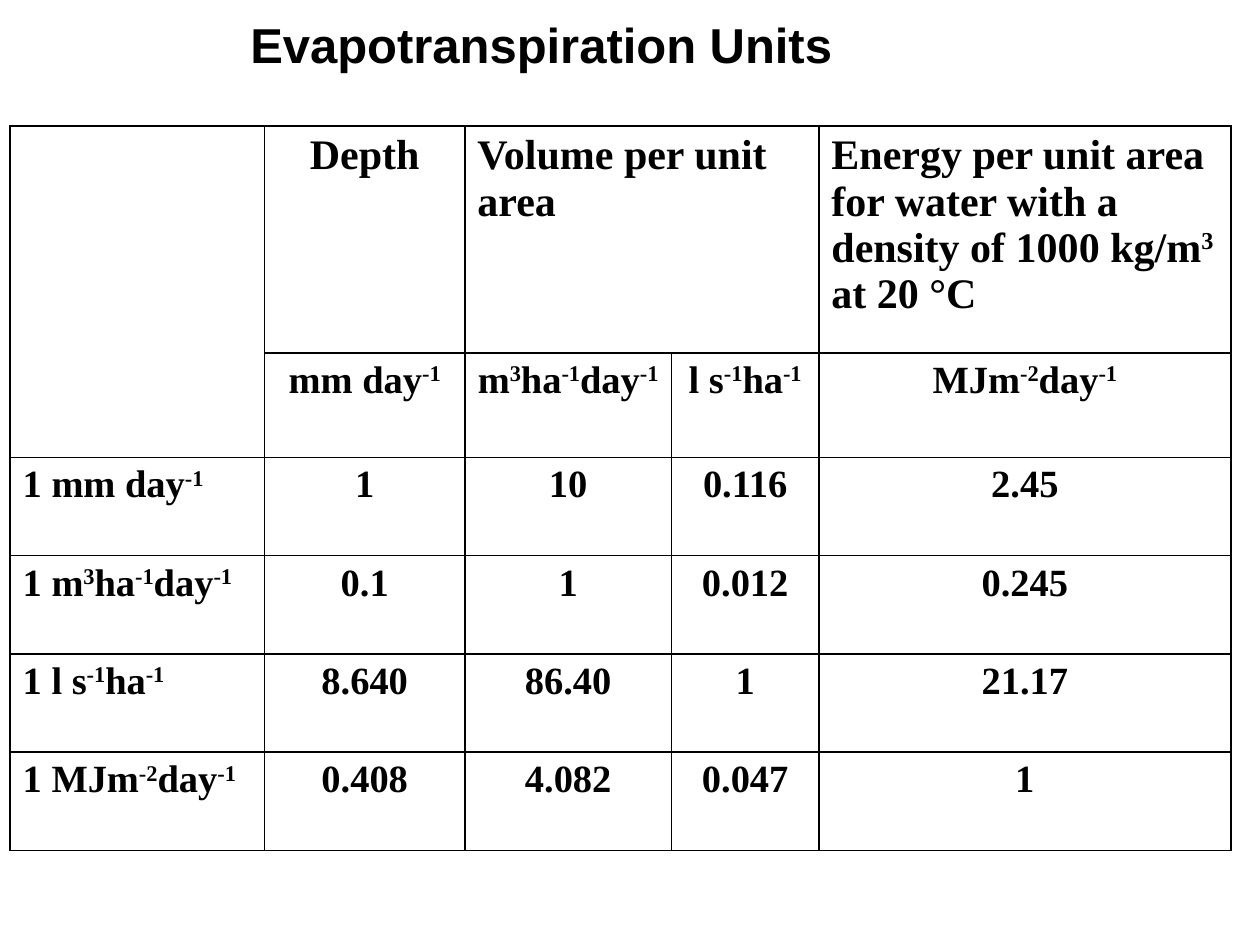
"""Build a slide with a conversion table of evapotranspiration units."""
from lxml import etree
from pptx import Presentation
from pptx.dml.color import RGBColor
from pptx.enum import text as tx
from pptx.oxml import ns
from pptx.util import Inches, Pt

BLACK = RGBColor(0, 0, 0)
LEFT, MID, JUST = tx.PP_ALIGN.LEFT, tx.PP_ALIGN.CENTER, tx.PP_ALIGN.JUSTIFY


def write(frame, words, size=22, font="Times New Roman", align=MID, hang=0):
    """Write bold text in which ^ marks enclose superscripts."""
    frame.word_wrap = True
    para = frame.paragraphs[0]
    para.alignment = align
    if hang:
        props = para._p.get_or_add_pPr()
        props.set("marL", str(Inches(hang)))
        props.set("indent", str(Inches(-hang)))
    for i, part in enumerate(words.split("^")):
        if part:
            run = para.add_run()
            run.text = part
            run.font.name = font
            run.font.size = Pt(size)
            run.font.bold = True
            run.font.color.rgb = BLACK
            if i % 2:
                run._r.get_or_add_rPr().set("baseline", "30000")


def border(cell):
    """Draw a thin line on every side of a cell."""
    props = cell._tc.get_or_add_tcPr()
    for side in ("lnL", "lnR", "lnT", "lnB"):
        line = etree.SubElement(props, ns.qn("a:" + side), w=str(Pt(1)))
        fill = etree.SubElement(line, ns.qn("a:solidFill"))
        etree.SubElement(fill, ns.qn("a:srgbClr"), val=str(BLACK))


prs = Presentation()
prs.slide_width, prs.slide_height = Inches(10), Inches(7.5)
slide = prs.slides.add_slide(prs.slide_layouts[6])

title = slide.shapes.add_textbox(Inches(1.42), Inches(0.08), Inches(5.75), Inches(0.53))
title.text_frame.vertical_anchor = tx.MSO_ANCHOR.MIDDLE
write(title.text_frame, "Evapotranspiration Units", size=28, font="Arial")

units = ["mm day^-1^", "m^3^ha^-1^day^-1^", "l s^-1^ha^-1^", "MJm^-2^day^-1^"]
vals = [
    ["1", "10", "0.116", "2.45"],
    ["0.1", "1", "0.012", "0.245"],
    ["8.640", "86.40", "1", "21.17"],
    ["0.408", "4.082", "0.047", "1"],
]
energy = "Energy per unit area for water with a density of 1000 kg/m^3^ at 20 °C"
rows = [["", "Depth", "Volume per unit area", "", energy], [""] + units]
rows += [["1 " + unit] + line for unit, line in zip(units, vals)]
wides = [2.02, 1.59, 1.64, 1.17, 3.27]
highs = [1.8, 0.83] + [0.78] * 4

table = slide.shapes.add_table(
    len(highs), len(wides), Inches(0.08), Inches(1), Inches(sum(wides)), Inches(sum(highs))
).table
table.first_row = table.horz_banding = False
for col, wide in zip(table.columns, wides):
    col.width = Inches(wide)
for row, high in zip(table.rows, highs):
    row.height = Inches(high)

for r, line in enumerate(rows):
    for c, words in enumerate(line):
        cell = table.cell(r, c)
        border(cell)
        cell.fill.background()
        if words:
            plain = r == 0 and c > 1
            align = LEFT if plain else MID if c else JUST
            write(cell.text_frame, words, size=22 if r else 24, align=align,
                  hang=0 if plain else 0.38)

table.cell(0, 0).merge(table.cell(1, 0))
table.cell(0, 2).merge(table.cell(0, 3))

prs.save("out.pptx")
